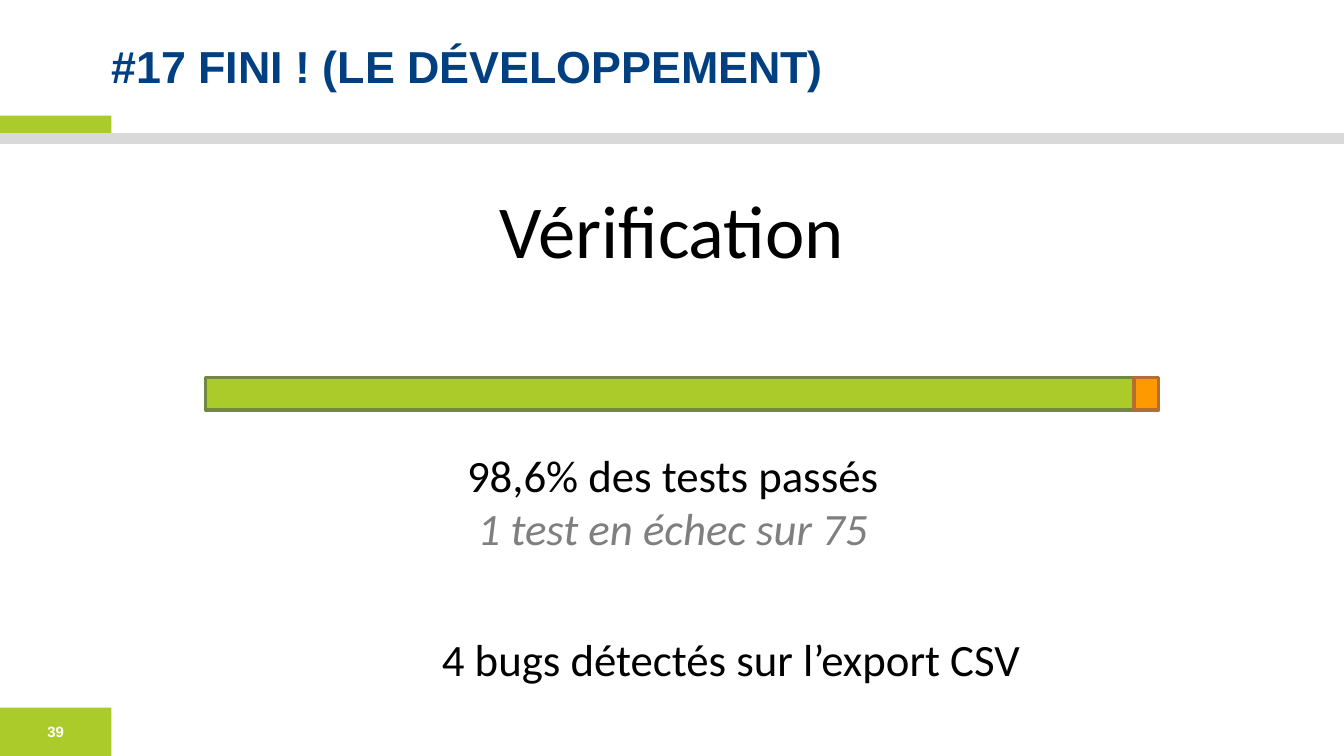
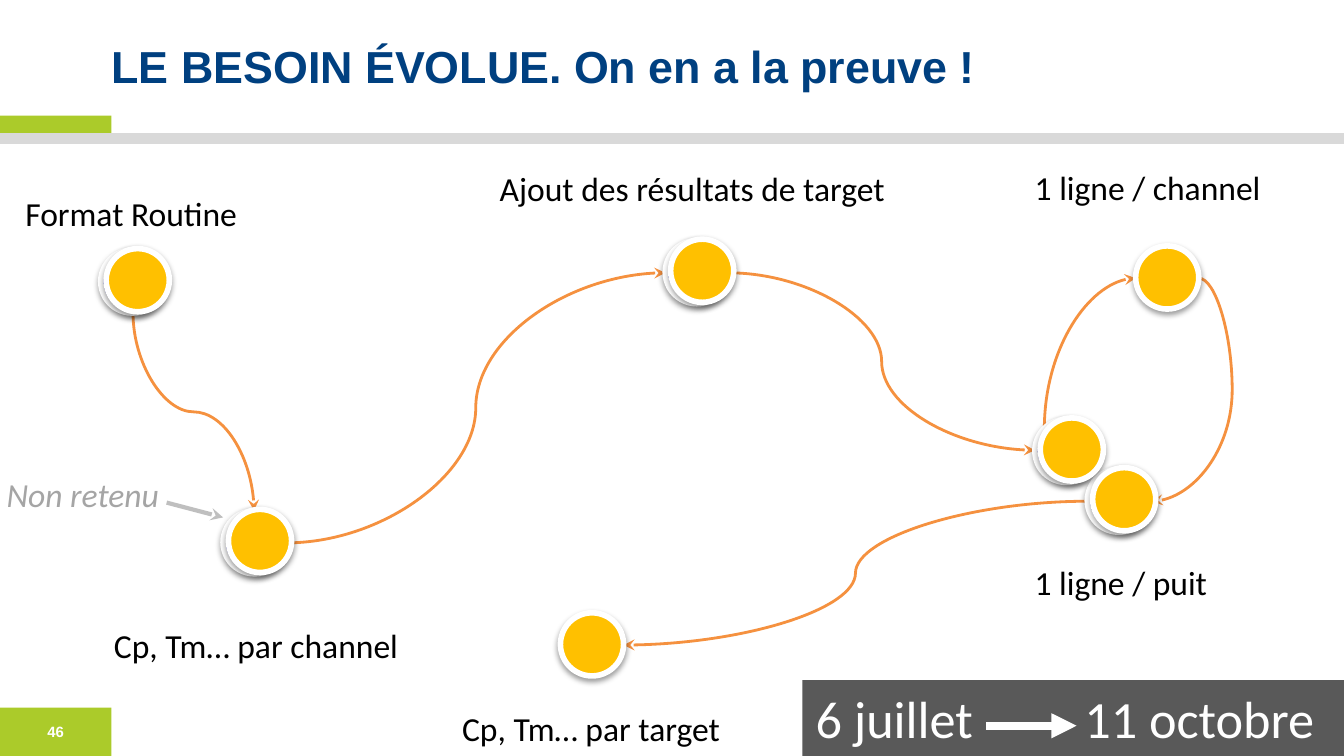
from lxml import etree
from pptx import Presentation
from pptx.dml.color import RGBColor
from pptx.enum.shapes import MSO_CONNECTOR, MSO_SHAPE
from pptx.enum.text import MSO_ANCHOR, PP_ALIGN
from pptx.oxml.ns import qn
from pptx.util import Inches, Pt

RECTANGLE, OVAL = MSO_SHAPE.RECTANGLE, MSO_SHAPE.OVAL
STRAIGHT, CURVED = MSO_CONNECTOR.STRAIGHT, MSO_CONNECTOR.CURVE
LEFT, CENTER = PP_ALIGN.LEFT, PP_ALIGN.CENTER
TOP, MIDDLE = MSO_ANCHOR.TOP, MSO_ANCHOR.MIDDLE

COLUMNS, ROWS = 100, 56.25
CELL = Inches(0.1)
MARGIN = 8.3
DOT = 4.7

GREEN, GREEN_EDGE = "ABCB2A", "718840"
ORANGE, ORANGE_EDGE = "FF9900", "B46D33"
NAVY, BLACK, WHITE = "004080", "000000", "FFFFFF"
BAND, DARK, GREY, PALE = "D9D9D9", "595959", "7F7F7F", "A5A5A5"
PATH, HINT = "F5913F", "BFBFBF"
BLUE, AMBER = "2D2DB9", "FFC000"


def cells(*counts):
    return [round(count * CELL) for count in counts]


def color(value):
    return RGBColor.from_string(value)


def add_text(shapes, content, at, size=18, ink=BLACK, font="Calibri", bold=False,
             italic=False, align=LEFT, anchor=TOP, inset=(0.1, 0.05)):
    frame = shapes.add_textbox(*cells(*at)).text_frame
    frame.word_wrap = True
    frame.vertical_anchor = anchor
    frame.margin_left = frame.margin_right = Inches(inset[0])
    frame.margin_top = frame.margin_bottom = Inches(inset[1])
    paragraph = frame.paragraphs[0]
    add_run(paragraph, content, size, ink, font, bold, italic, align)
    return frame


def add_run(paragraph, content, size, ink, font="Calibri", bold=False,
            italic=False, align=LEFT):
    paragraph.alignment = align
    run = paragraph.add_run()
    run.text = content
    run.font.name, run.font.size = font, Pt(size)
    run.font.bold, run.font.italic = bold, italic
    run.font.color.rgb = color(ink)


def add_block(shapes, kind, at, fill, edge=None, weight=2):
    block = shapes.add_shape(kind, *cells(*at))
    block.shadow.inherit = False
    block.fill.solid()
    block.fill.fore_color.rgb = color(fill)
    if edge:
        block.line.color.rgb = color(edge)
        block.line.width = Pt(weight)
    else:
        block.line.fill.background()
    return block


def add_line(shapes, start, end, ink, weight, head=None, kind=STRAIGHT):
    line = shapes.add_connector(kind, *cells(*start, *end))
    line.line.color.rgb = color(ink)
    line.line.width = Pt(weight)
    if head:
        etree.SubElement(line.line._get_or_add_ln(), qn("a:tailEnd"), type=head)
    properties = line._element.spPr
    etree.SubElement(properties, qn("a:effectLst"))
    return properties


def add_curve(shapes, start, end, upright=False, bend=None, quarter=False):
    if upright:
        mid_x, mid_y = (start[0] + end[0]) / 2, (start[1] + end[1]) / 2
        reach_x, reach_y = start[1] - mid_y, mid_x - start[0]
        start = mid_x + reach_x, mid_y + reach_y
        end = mid_x - reach_x, mid_y - reach_y
    properties = add_line(shapes, start, end, PATH, 1.5, "stealth", CURVED)
    geometry = properties.find(qn("a:prstGeom"))
    if upright:
        properties.find(qn("a:xfrm")).set("rot", str(90 * 60000))
    if quarter:
        geometry.set("prst", "curvedConnector2")
    if bend is not None:
        guides = geometry.find(qn("a:avLst"))
        etree.SubElement(guides, qn("a:gd"), name="adj1",
                         fmla=f"val {round(bend * 100000)}")


def add_dot(shapes, left, top, fill):
    dot = add_block(shapes, OVAL, (left, top, DOT, DOT), fill, WHITE, 3)
    effects = dot._element.spPr.find(qn("a:effectLst"))
    shadow = etree.SubElement(effects, qn("a:outerShdw"), blurRad=str(Pt(3.1)),
                              dist=str(Pt(1.6)), dir=str(90 * 60000), rotWithShape="0")
    tint = etree.SubElement(shadow, qn("a:srgbClr"), val=BLACK)
    etree.SubElement(tint, qn("a:alpha"), val="38000")


def add_page(deck, title, number):
    shapes = deck.slides.add_slide(deck.slide_layouts[6]).shapes
    add_block(shapes, RECTANGLE, (0, 8.6, MARGIN, 1.3), GREEN)
    add_line(shapes, (0, 10.3), (COLUMNS, 10.3), BAND, 6.25)
    add_block(shapes, RECTANGLE, (0, 52.65, MARGIN, 3.6), GREEN)
    add_text(shapes, str(number), (1.5, 53.3, 5.3, 2.3), size=8, ink=WHITE,
             font="Arial", bold=True, align=CENTER)
    add_text(shapes, title, (MARGIN, 0, 79.4, 9.8), size=24, ink=NAVY,
             font="Arial", bold=True, anchor=MIDDLE, inset=(0, 0))
    return shapes


def add_verification(deck):
    shapes = add_page(deck, "#17 FINI ! (LE DÉVELOPPEMENT)", 39)
    add_text(shapes, "Vérification", (0, 13.2, COLUMNS, 10.1), size=40, align=CENTER)
    add_text(shapes, "4 bugs détectés sur l’export CSV", (31.9, 46.5, 45.7, 5.1), size=24)
    results = add_text(shapes, "98,6% des tests passés", (33.6, 32.8, 32.9, 9.1),
                       size=24, align=CENTER)
    add_run(results.add_paragraph(), "1 test en échec sur 75", 24, GREY,
            italic=True, align=CENTER)
    left, passed, failed = 15.3, 69.1, 1.8
    add_block(shapes, RECTANGLE, (left, 28.1, passed, 2.4), GREEN, GREEN_EDGE)
    add_block(shapes, RECTANGLE, (left + passed, 28.1, failed, 2.4), ORANGE, ORANGE_EDGE)


def add_period(shapes):
    banner = shapes.add_group_shape().shapes
    left, top = 59.7, 50.6
    add_block(banner, RECTANGLE, (left, top, COLUMNS - left, ROWS - top), DARK)
    add_text(banner, "6 juillet", (left, top, 15.6, 7.1), size=28, ink=WHITE)
    add_text(banner, "11 octobre", (79.7, top, 19.2, 7.1), size=28, ink=WHITE)
    add_line(banner, (73.4, 54), (80.1, 54), WHITE, 4.5, "triangle")


def add_evolution(deck):
    shapes = add_page(deck, "LE BESOIN ÉVOLUE. On en a la preuve !", 46)
    steps = [
        ("Cp, Tm… par channel", 7.5, 46, 23.4),
        ("Ajout des résultats de target", 36.2, 12, 31),
        ("1 ligne / puit", 76, 41.3, 15),
        ("1 ligne / channel", 76, 11.9, 19.1),
        ("Cp, Tm… par target", 33.4, 52.2, 21.4),
        ("Format Routine", 0.9, 13.9, 18),
    ]
    for label, left, top, width in steps:
        add_text(shapes, label, (left, top, width, 4))

    add_curve(shapes, (9.9, 23.3), (18.9, 38), upright=True)
    add_curve(shapes, (21.3, 40.4), (49.5, 20.3))
    add_curve(shapes, (54.2, 20.3), (77, 33.5))
    add_curve(shapes, (77.7, 31.9), (84.5, 20.7), upright=True, quarter=True)
    add_curve(shapes, (89.2, 20.7), (85.7, 37.3), bend=-0.71)
    add_curve(shapes, (80.9, 37.3), (46.4, 48))

    revised = [(49.5, 17.9), (16.6, 38), (77, 31.2), (7.5, 18.6), (80.9, 34.9)]
    for left, top in revised:
        add_dot(shapes, left, top, BLUE)
    for left, top in [(84.5, 18.3), (41.7, 45.6)]:
        add_dot(shapes, left, top, AMBER)
    for left, top in revised:
        add_dot(shapes, left + 0.4, top - 0.1, AMBER)

    add_period(shapes)
    add_line(shapes, (12.4, 37.4), (16.6, 38.5), HINT, 2.25, "stealth")
    add_text(shapes, "Non retenu", (-0.5, 34.8, 13.5, 4), ink=PALE, italic=True)


def main():
    deck = Presentation()
    deck.slide_width, deck.slide_height = cells(COLUMNS, ROWS)
    add_verification(deck)
    add_evolution(deck)
    deck.save("out.pptx")


if __name__ == "__main__":
    main()
